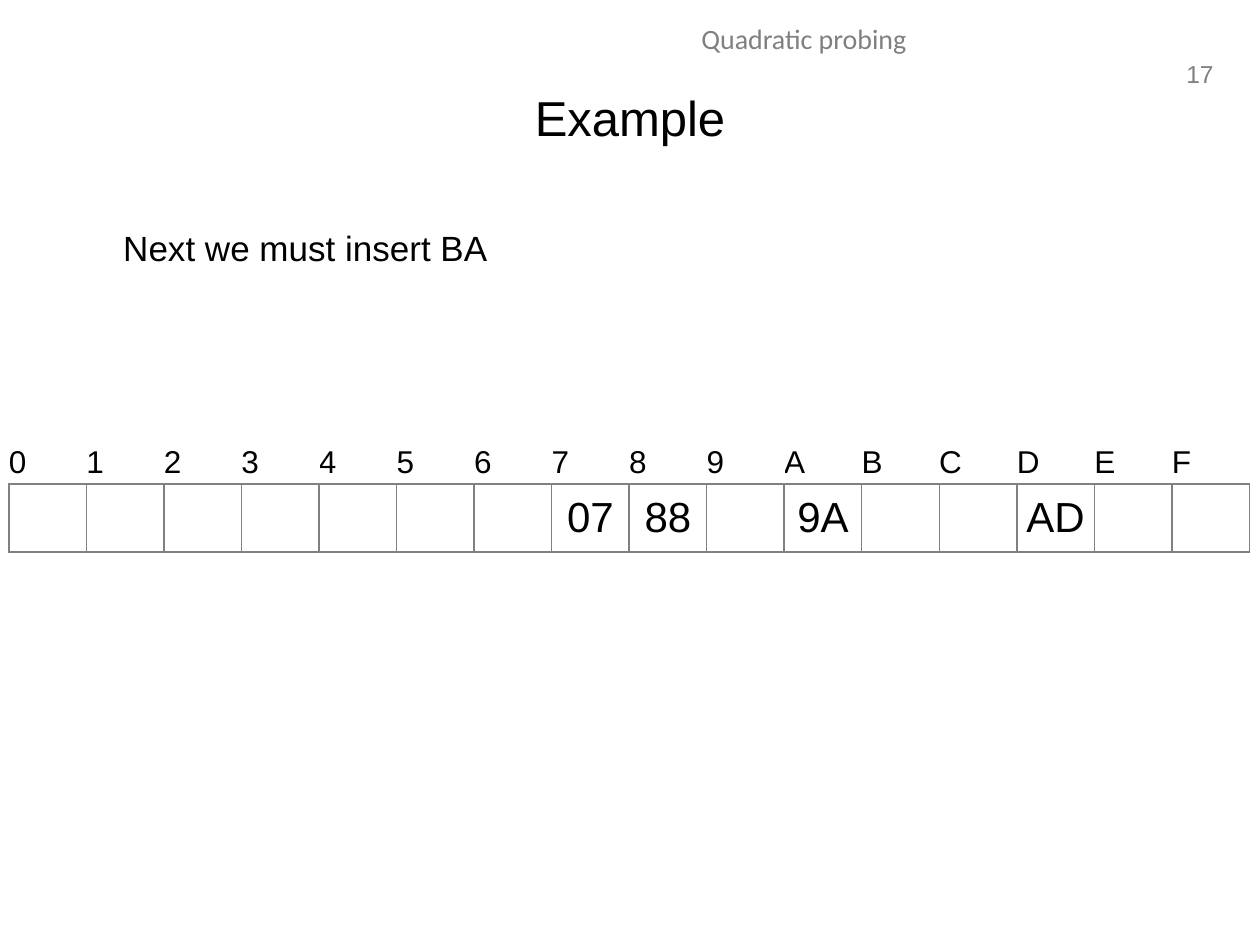
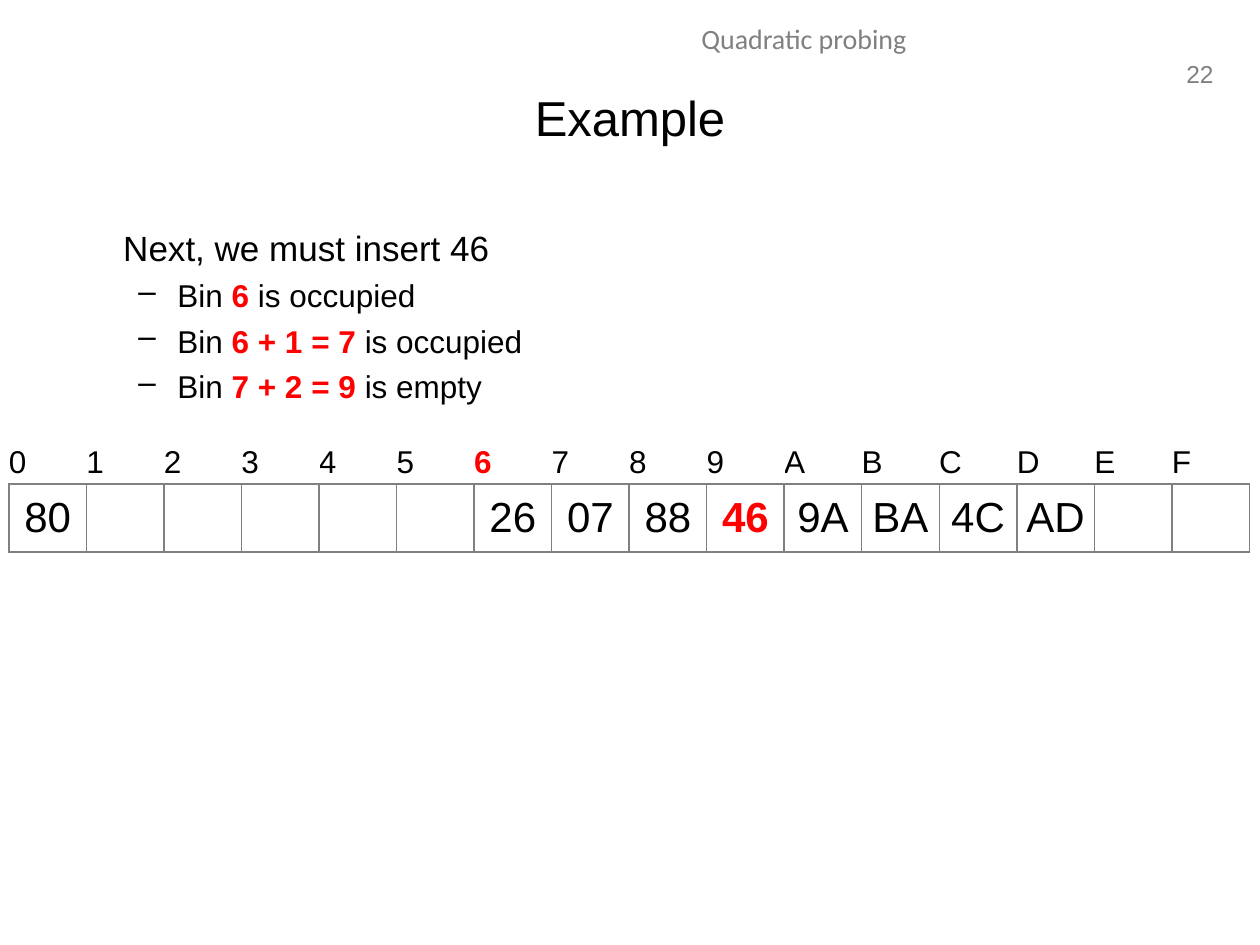
from lxml.etree import SubElement
from pptx import Presentation
from pptx.dml.color import RGBColor
from pptx.enum.text import MSO_ANCHOR as Anchor, MSO_AUTO_SIZE as AutoSize, PP_ALIGN as Align
from pptx.oxml.ns import qn
from pptx.util import Inches, Pt

COLORS = {"text": "000000", "accent": "FF0000", "muted": "808080"}
COLUMNS, ROWS = 100, 75
BINS = "0123456789ABCDEF"


class Deck:
    """Holds the shared style and the current slide; asterisks mark emphasised text."""

    def __init__(self):
        self.presentation = Presentation()
        self.presentation.slide_width = Inches(10)
        self.presentation.slide_height = Inches(7.5)
        self.slide = None

    def box(self, left, top, width, height):
        column = self.presentation.slide_width / COLUMNS
        row = self.presentation.slide_height / ROWS
        return [round(value) for value in (left * column, top * row, width * column, height * row)]

    def add_text(self, paragraph, text, size, color="text", font="Arial", align=Align.LEFT):
        paragraph.alignment = align
        for index, part in enumerate(text.split("*")):
            if part:
                emphasised = index % 2 == 1
                run = paragraph.add_run()
                run.text = part
                run.font.name = font
                run.font.size = Pt(size)
                run.font.bold = emphasised
                run.font.color.rgb = RGBColor.from_string(COLORS["accent" if emphasised else color])

    def text_frame(self, *area):
        frame = self.slide.shapes.add_textbox(*self.box(*area)).text_frame
        frame.word_wrap = True
        return frame

    def start_slide(self, title, section, number):
        self.slide = self.presentation.slides.add_slide(self.presentation.slide_layouts[5])
        self.add_text(self.text_frame(92.9, 4.2, 4.4, 3.3).paragraphs[0], str(number), 14, "muted", align=Align.RIGHT)
        self.add_text(self.text_frame(31.9, 1.2, 63.8, 4).paragraphs[0], section, 16, "muted", "Calibri", Align.CENTER)
        shape = self.slide.shapes.title
        shape.left, shape.top, shape.width, shape.height = self.box(5, 3, 90, 12.5)
        shape.text_frame.auto_size = AutoSize.NONE
        shape.text_frame.vertical_anchor = Anchor.MIDDLE
        self.add_text(shape.text_frame.paragraphs[0], title, 28, align=Align.CENTER)

    def body(self, lead, points):
        frame = self.text_frame(5, 17.5, 90, 49.5)
        self.indent(frame.paragraphs[0], 0.38, 0)
        self.add_text(frame.paragraphs[0], lead, 20)
        for point in points:
            paragraph = frame.add_paragraph()
            paragraph.space_before = Pt(4.3)
            self.indent(paragraph, 0.81, -0.31)
            SubElement(paragraph._p.get_or_add_pPr(), qn("a:buChar")).set("char", "–")
            self.add_text(paragraph, point, 18)

    def indent(self, paragraph, margin, hanging):
        properties = paragraph._p.get_or_add_pPr()
        properties.set("marL", str(Inches(margin)))
        properties.set("indent", str(Inches(hanging)))

    def format_cell(self, cell, sides):
        cell.margin_left = cell.margin_right = cell.margin_top = cell.margin_bottom = 0
        cell.vertical_anchor = Anchor.MIDDLE
        for side in sides:
            line = SubElement(cell._tc.get_or_add_tcPr(), qn(f"a:ln{side}"), w=str(Pt(1)))
            fill = SubElement(line, qn("a:solidFill"))
            SubElement(fill, qn("a:srgbClr"), val=COLORS["muted"])
        cell.fill.background()

    def hash_table(self, entries, probed=""):
        area = self.box(0.7, 35.1, 98.5, 8.7)
        table = self.slide.shapes.add_table(2, len(BINS), *area).table
        table.first_row = table.horz_banding = False
        for row, height in zip(table.rows, (0.33, 0.54)):
            row.height = Inches(height)
        for index, label in enumerate(BINS):
            table.columns[index].width = area[2] // len(BINS)
            heading, entry = table.cell(0, index), table.cell(1, index)
            self.format_cell(heading, "B")
            self.format_cell(entry, "LRTB")
            text = f"*{label}*" if label == probed else label
            self.add_text(heading.text_frame.paragraphs[0], text, 18)
            self.add_text(entry.text_frame.paragraphs[0], entries.get(label, ""), 24, align=Align.CENTER)


def main():
    deck = Deck()
    first_entries = {"7": "07", "8": "88", "A": "9A", "D": "AD"}
    later_entries = {"0": "80", "6": "26", "9": "*46*", "B": "BA", "C": "4C"}

    deck.start_slide("Example", "Quadratic probing", 17)
    deck.body("Next we must insert BA", [])
    deck.hash_table(first_entries)

    deck.start_slide("Example", "Quadratic probing", 22)
    deck.body("Next, we must insert 46", [
        "Bin *6* is occupied",
        "Bin *6 + 1 = 7* is occupied",
        "Bin *7 + 2 = 9* is empty",
    ])
    deck.hash_table({**first_entries, **later_entries}, probed="6")

    deck.presentation.save("out.pptx")


if __name__ == "__main__":
    main()
